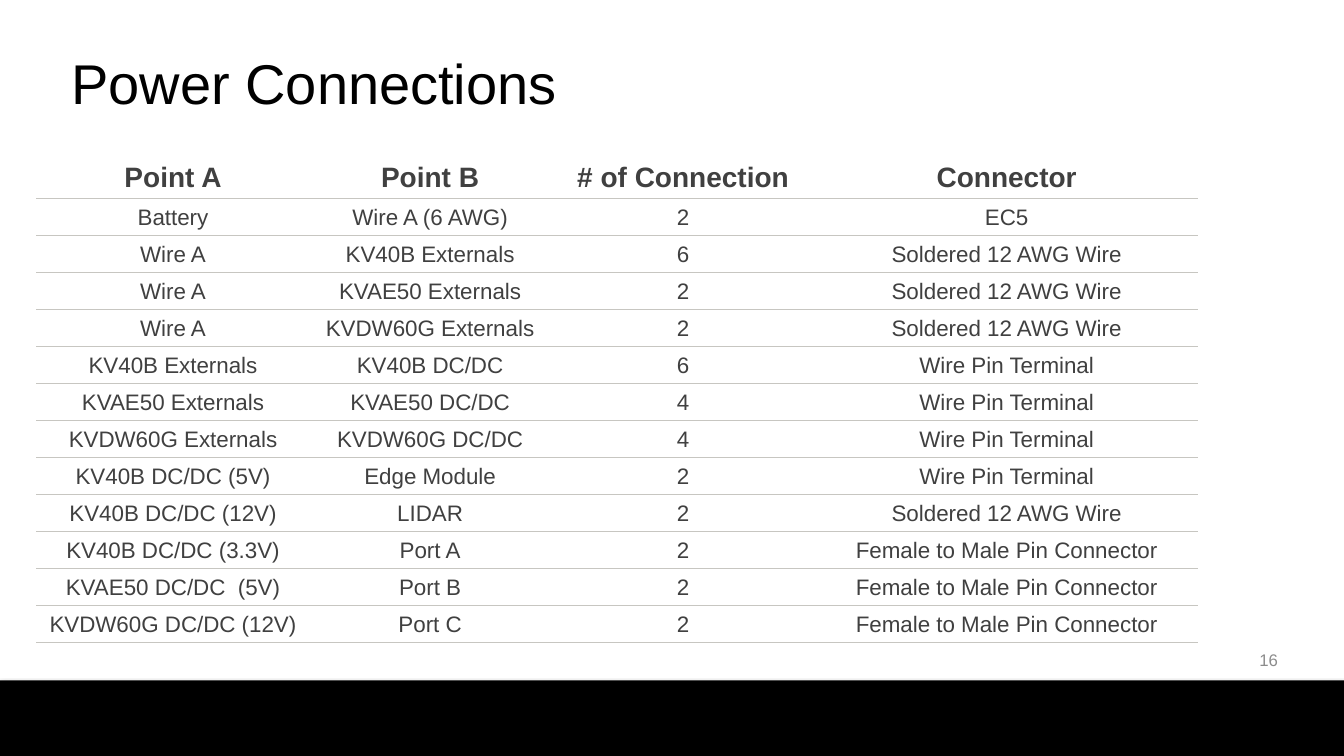
from dataclasses import dataclass
from typing import Optional

from lxml.etree import SubElement
from pptx import Presentation
from pptx.dml.color import RGBColor
from pptx.enum.shapes import MSO_SHAPE
from pptx.enum.text import MSO_ANCHOR, PP_ALIGN
from pptx.oxml.ns import qn
from pptx.slide import Slide
from pptx.table import _Cell
from pptx.text.text import _Paragraph
from pptx.util import Pt

COLOURS = {
    "bar": "000000",
    "title": "000000",
    "number": "8C8C8C",
    "table": "404040",
    "rule": "C7C6C1",
}
FONT = "Arial"
SLIDE_WIDTH, SLIDE_HEIGHT = 960, 540
BAR_HEIGHT = 54
RULE_WIDTH = 0.75
TABLE_LEFT, TABLE_TOP = 26, 106.5
COLUMN_WIDTHS = (193, 174.25, 187.25, 275)
HEADER_HEIGHT, ROW_HEIGHT = 35.25, 24


@dataclass(frozen=True)
class TextStyle:
    size: float
    colour: str
    align: PP_ALIGN
    bold: bool = False


@dataclass(frozen=True)
class Label:
    text: str
    left: float
    top: float
    width: float
    height: float
    style: TextStyle


@dataclass(frozen=True)
class Connection:
    point_a: str
    point_b: str
    count: str
    connector: str

    def values(self) -> tuple[str, ...]:
        return self.point_a, self.point_b, self.count, self.connector


HEADER_STYLE = TextStyle(20, "table", PP_ALIGN.CENTER, bold=True)
BODY_STYLE = TextStyle(16, "table", PP_ALIGN.CENTER)

LABELS = (
    Label("Power Connections", 44, 13.5, 864, 90, TextStyle(40, "title", PP_ALIGN.LEFT)),
    Label("16", 696, 457.25, 224, 28.75, TextStyle(12, "number", PP_ALIGN.RIGHT)),
)

HEADER = Connection("Point A", "Point B", "# of Connection", "Connector")
SOLDERED = "Soldered 12 AWG Wire"
PIN_TERMINAL = "Wire Pin Terminal"
PIN_CONNECTOR = "Female to Male Pin Connector"
CONNECTIONS = (
    Connection("Battery", "Wire A (6 AWG)", "2", "EC5"),
    Connection("Wire A", "KV40B Externals", "6", SOLDERED),
    Connection("Wire A", "KVAE50 Externals", "2", SOLDERED),
    Connection("Wire A", "KVDW60G Externals", "2", SOLDERED),
    Connection("KV40B Externals", "KV40B DC/DC", "6", PIN_TERMINAL),
    Connection("KVAE50 Externals", "KVAE50 DC/DC", "4", PIN_TERMINAL),
    Connection("KVDW60G Externals", "KVDW60G DC/DC", "4", PIN_TERMINAL),
    Connection("KV40B DC/DC (5V)", "Edge Module", "2", PIN_TERMINAL),
    Connection("KV40B DC/DC (12V)", "LIDAR", "2", SOLDERED),
    Connection("KV40B DC/DC (3.3V)", "Port A", "2", PIN_CONNECTOR),
    Connection("KVAE50 DC/DC  (5V)", "Port B", "2", PIN_CONNECTOR),
    Connection("KVDW60G DC/DC (12V)", "Port C", "2", PIN_CONNECTOR),
)


def add_run(paragraph: _Paragraph, text: str, style: TextStyle) -> None:
    paragraph.alignment = style.align
    run = paragraph.add_run()
    run.text = text
    run.font.name = FONT
    run.font.size = Pt(style.size)
    run.font.bold = style.bold
    run.font.color.rgb = RGBColor.from_string(COLOURS[style.colour])


def add_bottom_bar(slide: Slide) -> None:
    """Draw the black footer bar with its soft shadow."""
    bar = slide.shapes.add_shape(
        MSO_SHAPE.RECTANGLE, Pt(0), Pt(SLIDE_HEIGHT - BAR_HEIGHT), Pt(SLIDE_WIDTH), Pt(BAR_HEIGHT)
    )
    bar.fill.solid()
    bar.fill.fore_color.rgb = RGBColor.from_string(COLOURS["bar"])
    bar.line.fill.background()
    bar.shadow.inherit = False
    effects = bar.element.spPr.find(qn("a:effectLst"))
    shadow = SubElement(
        effects, qn("a:outerShdw"), blurRad=str(Pt(3.1)), dist=str(Pt(1.8)), dir="5400000", rotWithShape="0"
    )
    colour = SubElement(shadow, qn("a:srgbClr"), val=COLOURS["bar"])
    SubElement(colour, qn("a:alpha"), val="35000")


def add_label(slide: Slide, label: Label) -> None:
    box = slide.shapes.add_textbox(Pt(label.left), Pt(label.top), Pt(label.width), Pt(label.height))
    frame = box.text_frame
    frame.word_wrap = True
    frame.vertical_anchor = MSO_ANCHOR.MIDDLE
    add_run(frame.paragraphs[0], label.text, label.style)


def set_border(cell: _Cell, side: str, colour: Optional[str]) -> None:
    properties = cell._tc.get_or_add_tcPr()
    line = SubElement(properties, qn(f"a:ln{side}"), w=str(Pt(RULE_WIDTH)))
    if colour is None:
        SubElement(line, qn("a:noFill"))
    else:
        fill = SubElement(line, qn("a:solidFill"))
        SubElement(fill, qn("a:srgbClr"), val=colour)


def fill_cell(cell: _Cell, text: str, is_header: bool) -> None:
    rule = COLOURS["rule"]
    borders = {"L": None, "R": None, "T": None if is_header else rule, "B": rule}
    for side, colour in borders.items():
        set_border(cell, side, colour)
    cell.fill.background()
    cell.vertical_anchor = MSO_ANCHOR.BOTTOM
    cell.margin_left, cell.margin_right = Pt(8), Pt(5.75)
    cell.margin_top = cell.margin_bottom = Pt(3.6)
    add_run(cell.text_frame.paragraphs[0], text, HEADER_STYLE if is_header else BODY_STYLE)


def add_connection_table(slide: Slide) -> None:
    rows = (HEADER, *CONNECTIONS)
    heights = (HEADER_HEIGHT, *[ROW_HEIGHT] * len(CONNECTIONS))
    table = slide.shapes.add_table(
        len(rows), len(COLUMN_WIDTHS), Pt(TABLE_LEFT), Pt(TABLE_TOP), Pt(sum(COLUMN_WIDTHS)), Pt(sum(heights))
    ).table
    table.first_row = False
    table.horz_banding = False
    for column, width in zip(table.columns, COLUMN_WIDTHS):
        column.width = Pt(width)
    for index, (connection, height) in enumerate(zip(rows, heights)):
        row = table.rows[index]
        row.height = Pt(height)
        for cell, text in zip(row.cells, connection.values()):
            fill_cell(cell, text, is_header=index == 0)


def main() -> None:
    presentation = Presentation()
    presentation.slide_width = Pt(SLIDE_WIDTH)
    presentation.slide_height = Pt(SLIDE_HEIGHT)
    slide = presentation.slides.add_slide(presentation.slide_layouts[6])
    add_bottom_bar(slide)
    for label in LABELS:
        add_label(slide, label)
    add_connection_table(slide)
    presentation.save("out.pptx")


if __name__ == "__main__":
    main()
